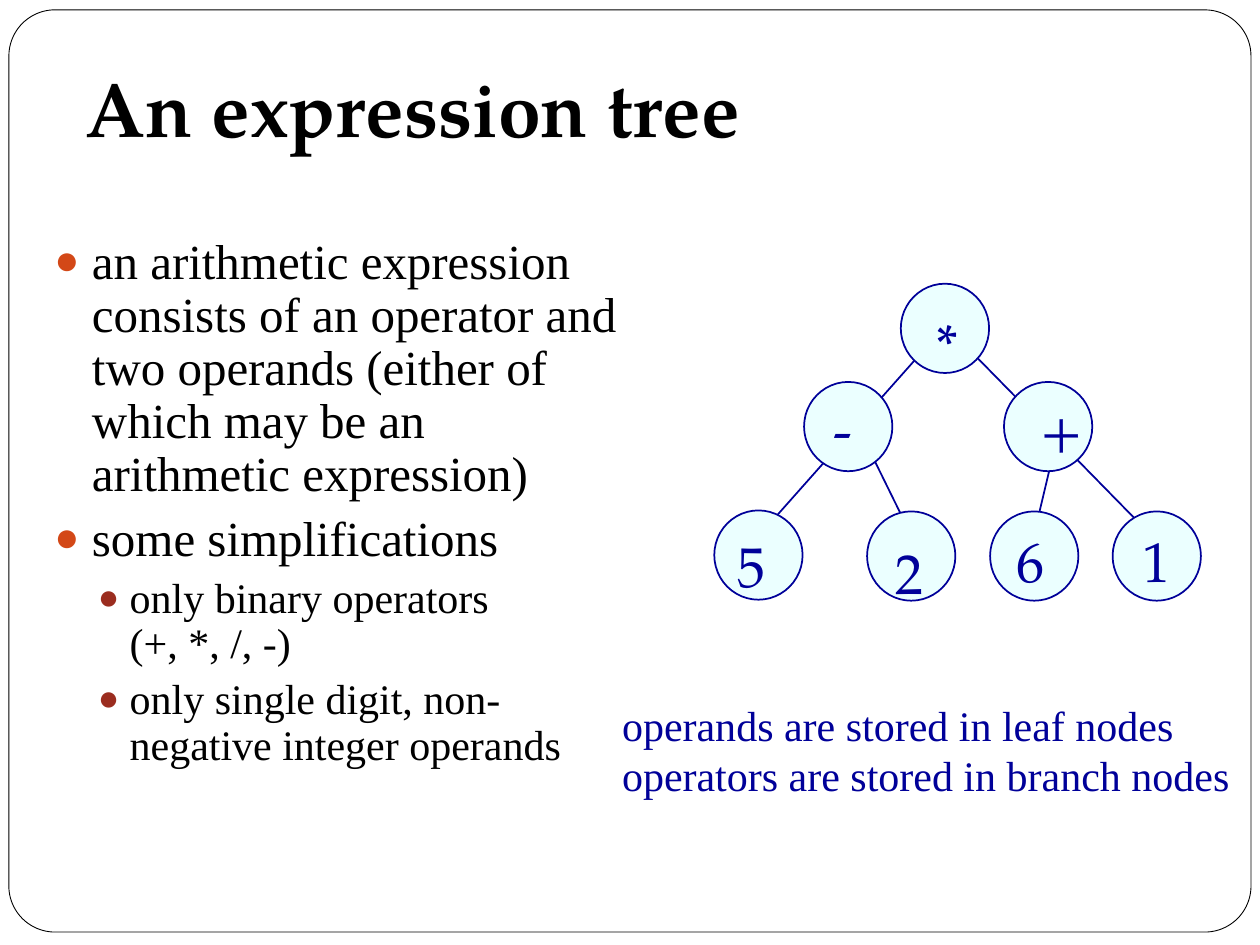
"""Build the slide about an expression tree."""
from dataclasses import dataclass

from lxml.etree import SubElement
from pptx import Presentation
from pptx.dml.color import RGBColor as Rgb
from pptx.enum.shapes import MSO_CONNECTOR as Link, MSO_SHAPE as Preset
from pptx.enum.text import MSO_ANCHOR as Anchor, MSO_AUTO_SIZE as Fit, PP_ALIGN as Align
from pptx.oxml.ns import qn
from pptx.util import Cm, Pt


@dataclass(frozen=True)
class Theme:
    heading_face: str = "TeX Gyre Pagella"
    body_face: str = "Times New Roman"
    ink: str = "000000"
    tree: str = "000099"
    node_fill: str = "EBFFFF"
    bullets: tuple = ("D34817", "9B2D1F")
    title_size: int = 44
    symbol_size: int = 32
    point_sizes: tuple = (28, 24)
    caption_size: int = 24
    line_width: float = 1
    frame_width: float = 0.5


class TreeSlide:
    def __init__(self, deck, theme):
        self.theme = theme
        self.slide = deck.slides.add_slide(deck.slide_layouts[1])
        self.shapes = self.slide.shapes

    def place(self, holder, left, top, width, height):
        holder.left, holder.top = Cm(left), Cm(top)
        holder.width, holder.height = Cm(width), Cm(height)
        frame = holder.text_frame
        frame.word_wrap, frame.auto_size = True, Fit.NONE
        return frame

    def style(self, paragraph, face, size, color, bold=False):
        font = paragraph.font
        font.name, font.size, font.bold = face, Pt(size), bold
        font.color.rgb = Rgb.from_string(color)

    def outlined(self, preset, box, color, width):
        outline = self.shapes.add_shape(preset, *map(Cm, box))
        outline.shadow.inherit = False
        outline.line.color.rgb = Rgb.from_string(color)
        outline.line.width = Pt(width)
        return outline

    def frame(self, *box):
        border = self.outlined(Preset.ROUNDED_RECTANGLE, box, self.theme.ink, self.theme.frame_width)
        border.adjustments[0] = 0.05
        border.fill.background()

    def title(self, wording, *box):
        frame = self.place(self.shapes.title, *box)
        frame.vertical_anchor, frame.margin_bottom = Anchor.BOTTOM, Cm(0.25)
        frame.text = wording
        heading = frame.paragraphs[0]
        heading.alignment = Align.LEFT
        self.style(heading, self.theme.heading_face, self.theme.title_size, self.theme.ink, True)

    def points(self, items, *box):
        frame = self.place(self.slide.placeholders[1], *box)
        frame.text = "\n".join(wording for _, wording in items)
        for paragraph, (level, _) in zip(frame.paragraphs, items):
            paragraph.level = level
            paragraph.line_spacing, paragraph.space_before = 0.9, Pt(7 - level)
            self.bullet(paragraph, level)
            self.style(paragraph, self.theme.body_face, self.theme.point_sizes[level], self.theme.ink)

    def bullet(self, paragraph, level):
        properties = paragraph._p.get_or_add_pPr()
        indent, hang = ((0.76, 0.76), (1.52, 0.64))[level]
        properties.set("marL", str(Cm(indent)))
        properties.set("indent", str(-Cm(hang)))
        color = SubElement(properties, qn("a:buClr"))
        SubElement(color, qn("a:srgbClr"), val=self.theme.bullets[level])
        SubElement(properties, qn("a:buSzPct"), val="85000")
        SubElement(properties, qn("a:buChar"), char="●")

    def edge(self, *ends):
        branch = self.shapes.add_connector(Link.STRAIGHT, *map(Cm, ends))
        branch.line.color.rgb = Rgb.from_string(self.theme.tree)
        branch.line.width = Pt(self.theme.line_width)
        SubElement(branch._element.spPr, qn("a:effectLst"))

    def node(self, left, top):
        circle = self.outlined(Preset.OVAL, (left, top, 1.78, 1.8), self.theme.tree, self.theme.line_width)
        circle.fill.solid()
        circle.fill.fore_color.rgb = Rgb.from_string(self.theme.node_fill)

    def text(self, lines, face, size, box, align=Align.LEFT):
        frame = self.place(self.shapes.add_textbox(0, 0, 0, 0), *box)
        frame.text = "\n".join(lines)
        for paragraph in frame.paragraphs:
            paragraph.alignment = align
            self.style(paragraph, face, size, self.theme.tree)

    def symbol(self, sign, left, top, align):
        self.text([sign], self.theme.heading_face, self.theme.symbol_size, (left, top, 1.19, 1.6), align)

    def caption(self, lines, *box):
        self.text(lines, self.theme.body_face, self.theme.caption_size, box)


POINTS = [
    (0, "an arithmetic expression consists of an operator and two operands "
        "(either of which may be an arithmetic expression)"),
    (0, "some simplifications"),
    (1, "only binary operators\v(+, *, /, -)"),
    (1, "only single digit, non-negative integer operands"),
]
EDGES = [
    (19.13, 6.63, 23.01, 10.59),
    (21.36, 8.61, 20.78, 11.05),
    (19, 6.63, 15.21, 10.9),
    (17.45, 8.92, 18.57, 11.2),
]
NODES = [
    ("*", (18.16, 5.72), (18.62, 6.1), Align.LEFT),
    ("-", (16.21, 7.7), (16.56, 7.82), Align.LEFT),
    ("+", (20.24, 7.7), (20.73, 7.82), Align.LEFT),
    ("5", (14.4, 10.29), (14.5, 10.59), Align.RIGHT),
    ("2", (17.48, 10.31), (17.81, 10.74), Align.LEFT),
    ("6", (19.96, 10.31), (20.24, 10.49), Align.LEFT),
    ("1", (22.43, 10.31), (22.78, 10.49), Align.LEFT),
]


def main():
    deck = Presentation()
    deck.slide_width, deck.slide_height = Cm(25.4), Cm(19.05)
    page = TreeSlide(deck, Theme())
    page.frame(0.18, 0.2, 25.04, 18.59)
    page.title("An expression tree", 1.47, 1.07, 23.93, 2.26)
    page.points(POINTS, 0.84, 4.65, 12.07, 17.07)
    for ends in EDGES:
        page.edge(*ends)
    for sign, circle, label, align in NODES:
        page.node(*circle)
        page.symbol(sign, *label, align)
    page.caption(["operands are stored in leaf nodes", "operators are stored in branch nodes"],
                 12.29, 13.97, 12.75, 2.29)
    deck.save("out.pptx")


if __name__ == "__main__":
    main()
